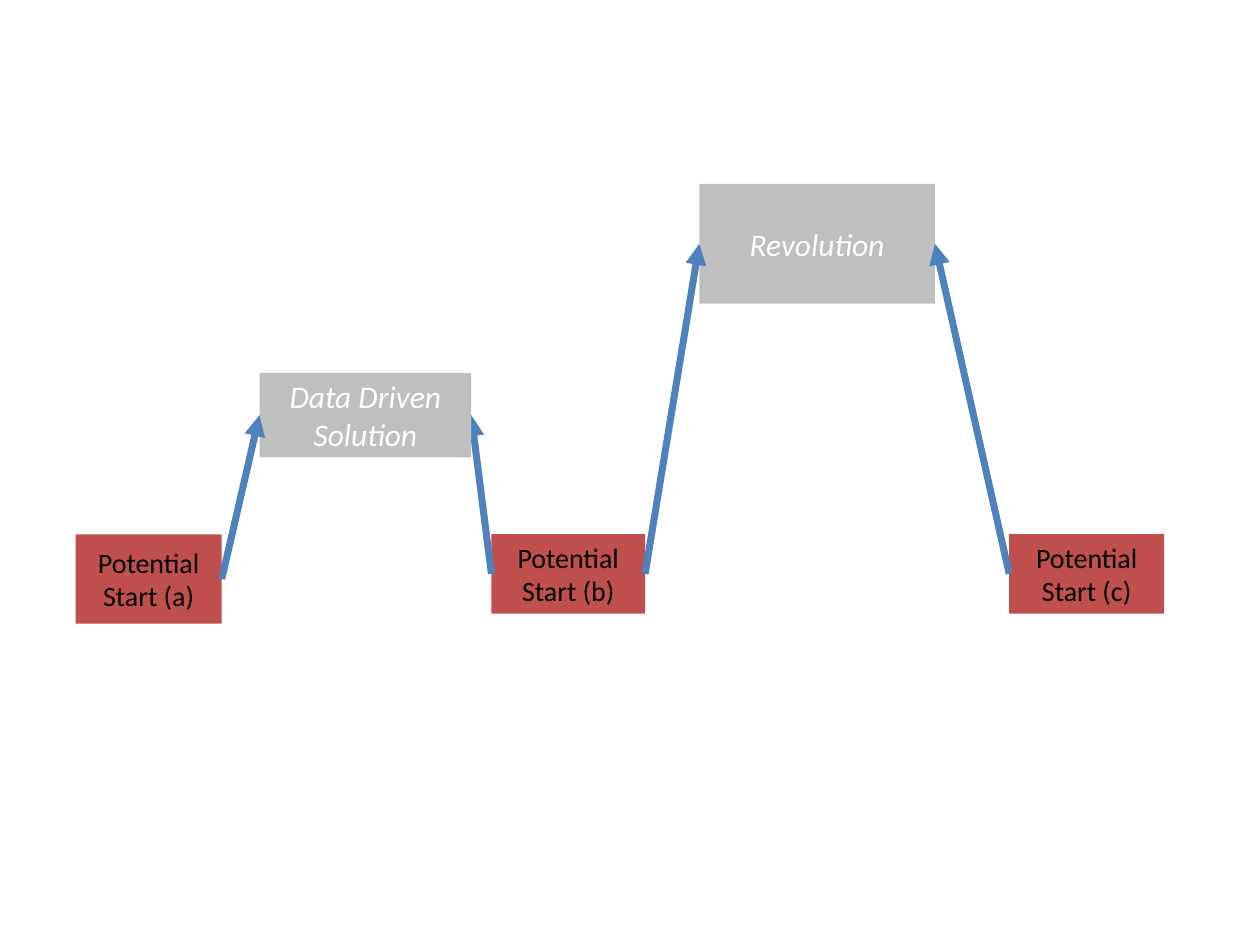
from pptx import Presentation
from pptx.dml.color import RGBColor
from pptx.enum.shapes import MSO_CONNECTOR, MSO_SHAPE
from pptx.enum.text import MSO_ANCHOR, PP_ALIGN
from pptx.oxml.ns import qn
from pptx.util import Inches, Pt
from lxml.etree import SubElement

COLORS = {"red": "C0504D", "gray": "BFBFBF", "blue": "4F81BD",
          "black": "000000", "white": "FFFFFF"}
START = {"fill": "red", "ink": "black",
         "font": {"name": "Calibri", "size": Pt(16), "italic": False}}
GOAL = {"fill": "gray", "ink": "white",
        "font": {"name": "Calibri", "size": Pt(18), "italic": True}}
LEFT, RIGHT = 1, 3


class Board:
    def __init__(self, slide):
        self.slide = slide

    def color(self, name):
        return RGBColor.from_string(COLORS[name])

    def box(self, text, x, y, w, h, style):
        shape = self.slide.shapes.add_shape(
            MSO_SHAPE.RECTANGLE, Inches(x), Inches(y), Inches(w), Inches(h))
        shape.shadow.inherit = False
        shape.fill.solid()
        shape.fill.fore_color.rgb = self.color(style["fill"])
        shape.line.fill.background()
        frame = shape.text_frame
        frame.word_wrap = True
        frame.vertical_anchor = MSO_ANCHOR.MIDDLE
        frame.text = text
        for para in frame.paragraphs:
            para.alignment = PP_ALIGN.CENTER
            for run in para.runs:
                for key, value in style["font"].items():
                    setattr(run.font, key, value)
                run.font.color.rgb = self.color(style["ink"])
        return shape

    def arrow(self, start, side, goal, end):
        line = self.slide.shapes.add_connector(MSO_CONNECTOR.STRAIGHT, 0, 0, 0, 0)
        line.begin_connect(start, side)
        line.end_connect(goal, end)
        line.line.color.rgb = self.color("blue")
        line.line.width = Pt(4)
        props = line.element.spPr
        SubElement(props.find(qn("a:ln")), qn("a:tailEnd"), type="triangle")
        SubElement(props, qn("a:effectLst"))
        return line


def main():
    deck = Presentation()
    deck.slide_width, deck.slide_height = Inches(10), Inches(7.5)
    board = Board(deck.slides.add_slide(deck.slide_layouts[6]))

    base = 4.24
    mid = board.box("Potential\nStart (b)", 3.9, base, 1.22, 0.63, START)
    first = board.box("Potential\nStart (a)", 0.6, base, 1.16, 0.71, START)
    data = board.box("Data Driven Solution", 2.06, 2.96, 1.68, 0.67, GOAL)
    back = board.arrow(mid, LEFT, data, RIGHT)
    data.element.addprevious(back.element)
    board.arrow(first, RIGHT, data, LEFT)

    last = board.box("Potential\nStart (c)", 8.01, base, 1.23, 0.63, START)
    peak = board.box("Revolution", 5.55, 1.46, 1.87, 0.95, GOAL)
    board.arrow(mid, RIGHT, peak, LEFT)
    board.arrow(last, LEFT, peak, RIGHT)

    deck.save("out.pptx")


if __name__ == "__main__":
    main()
